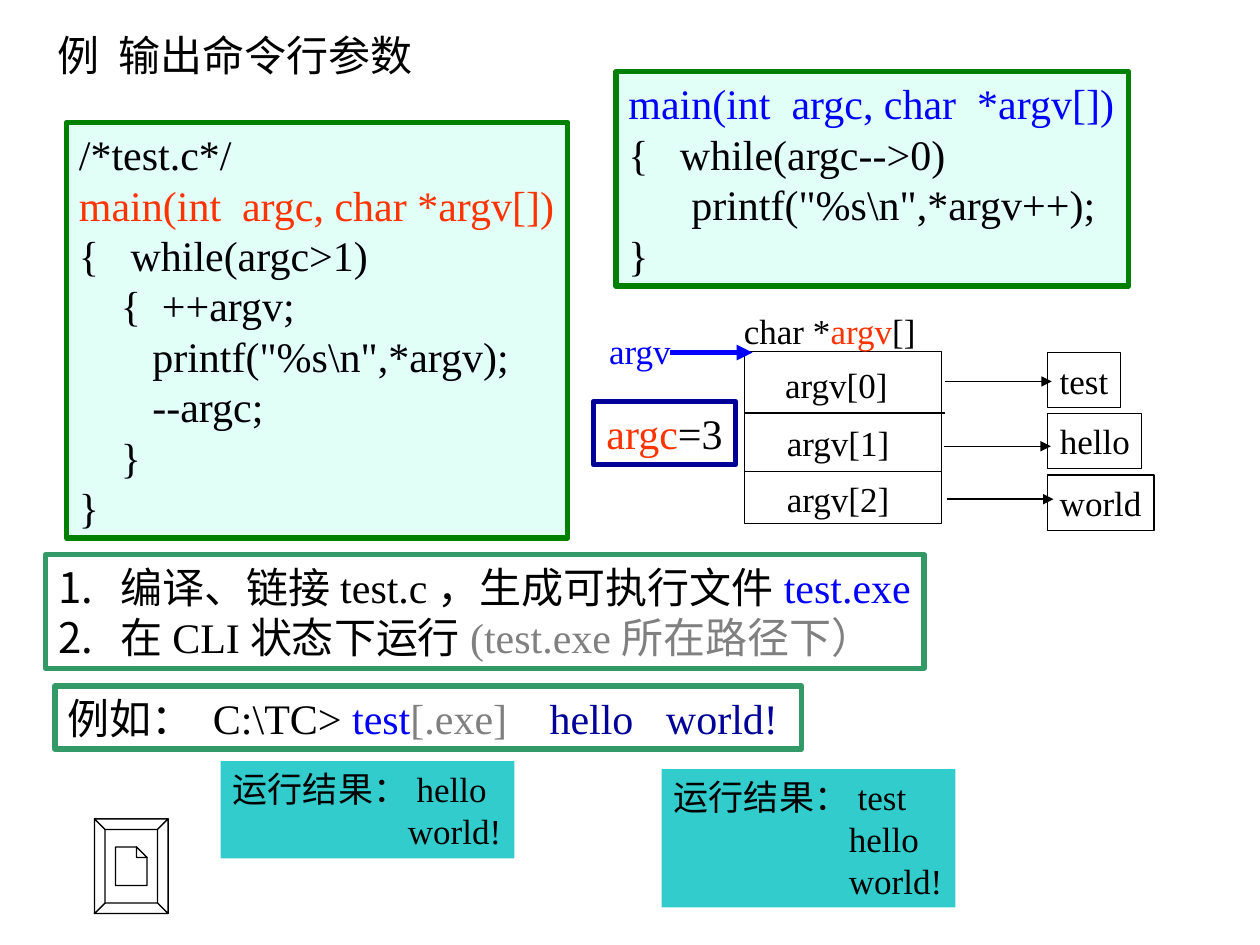
from lxml import etree
from pptx import Presentation
from pptx.dml.color import RGBColor
from pptx.enum import shapes, text
from pptx.oxml.ns import qn
from pptx.util import Pt

THEME = dict(
    font="Times New Roman", big=24, small=20, lead=1.2, thin=0.75, thick=3,
    black="000000", white="FFFFFF", red="FF3300", blue="0000FF", navy="000099",
    gray="808080", mint="E1FFF7", green="008000", sea="339966", teal="33CCCC",
)

# Content: a line is a string or a list of (text, colour) runs
TITLE = ["例\t输出命令行参数"]
TEST = [
    "/*test.c*/",
    [("main(int  argc, char *argv[])", "red")],
    "{   while(argc>1)",
    "    {  ++argv;",
    "       printf(\"%s\\n\",*argv);",
    "       --argc;",
    "    }",
    "}",
]
SHORT = [
    [("main(int  argc, char  *argv[])", "blue")],
    "{   while(argc-->0)",
    "      printf(\"%s\\n\",*argv++);",
    "}",
]
STEPS = [
    [("编译、链接test.c，生成可执行文件", "black"), ("test.exe", "blue")],
    [("在CLI状态下运行", "black"), ("(test.exe所在路径下）", "gray")],
]
RUN = [[("例如： C:\\TC>", "black"), (" test", "blue"), ("[.exe]", "gray"),
        ("\thello\tworld!", "navy")]]
RESULTS = [  # left, top, height, lines
    (126, 435, 55.5, ["运行结果：hello", "world!"]),
    (378, 439.5, 79, ["运行结果：test", "hello", "world!"]),
]
SLOTS = [  # label, left, top, arrow start, arrow height
    ("argv[0]", 441.5, 204, 540, 218),
    ("argv[1]", 442.5, 237, 539.5, 255),
    ("argv[2]", 442.5, 269, 541, 285.25),
]
WORDS = [("test", 201.5, 42), ("hello", 236.25, 54), ("world", 271.5, 61)]

deck = Presentation()
deck.slide_width, deck.slide_height = Pt(720), Pt(540)
slide = deck.slides.add_slide(deck.slide_layouts[1])


def color(name):
    return RGBColor.from_string(THEME[name])


def paint(item, fill=None, line=None, width=THEME["thin"]):
    if fill:
        item.fill.solid()
        item.fill.fore_color.rgb = color(fill)
    else:
        item.fill.background()
    if line:
        item.line.color.rgb = color(line)
        item.line.width = Pt(width)
    else:
        item.line.fill.background()


def place(item, box):
    item.left, item.top, item.width, item.height = map(Pt, box)


def write(item, lines, size="big", hue="black", anchor="TOP", align="LEFT",
          pad=(7.2, 0), tabs=(), hang=0, rest=0):
    """Fill a shape with text; hang numbers the lines, rest indents the later ones."""
    frame = item.text_frame
    frame.word_wrap = True
    frame.auto_size = text.MSO_AUTO_SIZE.NONE
    frame.vertical_anchor = text.MSO_ANCHOR[anchor]
    frame.margin_left, frame.margin_right = map(Pt, pad)
    frame.margin_top = frame.margin_bottom = Pt(3.6)
    for row, line in enumerate(lines):
        para = frame.add_paragraph() if row else frame.paragraphs[0]
        props = para._p.get_or_add_pPr()
        if hang:
            props.set("marL", str(Pt(hang)))
            props.set("indent", str(-Pt(hang)))
            etree.SubElement(props, qn("a:buAutoNum"), type="arabicPeriod")
        elif rest and row:
            props.set("marL", str(Pt(rest)))
        if tabs:
            stops = etree.SubElement(props, qn("a:tabLst"))
            for stop in tabs:
                etree.SubElement(stops, qn("a:tab"), pos=str(Pt(stop)), algn="l")
        para.alignment = text.PP_ALIGN[align]
        para.space_before = para.space_after = Pt(0)
        para.line_spacing = Pt(THEME[size] * THEME["lead"])
        for words, tint in [(line, hue)] if isinstance(line, str) else line:
            run = para.add_run()
            run.text = words
            run.font.name = THEME["font"]
            run.font.size = Pt(THEME[size])
            run.font.color.rgb = color(tint)


def panel(box, lines=(), fill=None, line=None, width=THEME["thin"], **form):
    item = slide.shapes.add_shape(shapes.MSO_SHAPE.RECTANGLE, *map(Pt, box))
    item.shadow.inherit = False
    paint(item, fill, line, width)
    if lines:
        write(item, lines, **form)


def label(box, lines, **form):
    write(slide.shapes.add_textbox(*map(Pt, box)), lines, size="small", **form)


def rule(x1, y1, x2, y2, hue="black", width=THEME["thin"], arrow=False):
    item = slide.shapes.add_connector(
        shapes.MSO_CONNECTOR.STRAIGHT, *map(Pt, (x1, y1, x2, y2)))
    item.line.color.rgb = color(hue)
    item.line.width = Pt(width)
    if arrow:
        etree.SubElement(item.line._get_or_add_ln(), qn("a:tailEnd"), type="triangle")
    etree.SubElement(item._element.spPr, qn("a:effectLst"))


# Title and numbered steps
title, steps = slide.shapes.title, slide.placeholders[1]
place(title, (25.5, 13.5, 217, 36))
write(title, TITLE, tabs=[35])
place(steps, (26, 317, 502, 65))
paint(steps, "white", "sea", THEME["thick"])
write(steps, STEPS, anchor="MIDDLE", hang=35.5)

# Code listings and command line
bold = dict(width=THEME["thick"])
panel((38, 70, 286.5, 237.5), TEST, "mint", "green", **bold)
panel((352, 41, 293, 122.5), SHORT, "mint", "green", **bold)
panel((31.5, 392, 426.5, 36), RUN, "white", "sea", **bold,
      anchor="MIDDLE", tabs=[275.5, 342])

# Program output
for left, top, tall, lines in RESULTS:
    panel((left, top, 168, tall), lines, "teal", size="small", rest=100)

# Argument array and the words it points to
panel((425.5, 201, 112.5, 98), fill="white", line="black")
rule(425.5, 236, 540, 236)
rule(425.5, 269.25, 538.5, 269.25)
for name, left, top, start, level in SLOTS:
    label((left, top, 73.5, 31.5), [name], anchor="MIDDLE")
    rule(start, level, start + 61, level, arrow=True)
for word, top, wide in WORDS:
    panel((598.5, top, wide, 31.5), [word], line="black",
          size="small", anchor="MIDDLE")
label((418, 173, 113, 31.5), [[("char *", "black"), ("argv", "red"), ("[]", "black")]],
      anchor="MIDDLE")

# Pointer and counter
rule(383, 201.5, 430, 201.5, "blue", THEME["thick"], arrow=True)
label((341, 185, 50, 31.5), ["argv"], hue="blue")
panel((339, 229.5, 81.5, 36), [[("argc", "red"), ("=3", "black")]], line="navy",
      **bold, anchor="MIDDLE", align="CENTER", pad=(3, 3))

# Document button: bevelled frame, page and folded corner
outer = [(54, 468), (96, 468), (96, 522), (54, 522)]
inner = [(59.5, 473.5), (90.5, 473.5), (90.5, 516.5), (59.5, 516.5)]
bevels = [[outer[i], outer[i - 3], inner[i - 3], inner[i]] for i in range(4)]
page = [(66, 484), (77.5, 484), (84, 489.5), (84, 506), (66, 506)]
fold = [(77.5, 484), (84, 489.5), (77.5, 489.5)]
for path in [outer, *bevels, page, fold]:
    pen = slide.shapes.build_freeform(*path[0], scale=Pt(1))
    pen.add_line_segments(path[1:], close=True)
    part = pen.convert_to_shape()
    part.shadow.inherit = False
    paint(part, "white", "black")

deck.save("out.pptx")
